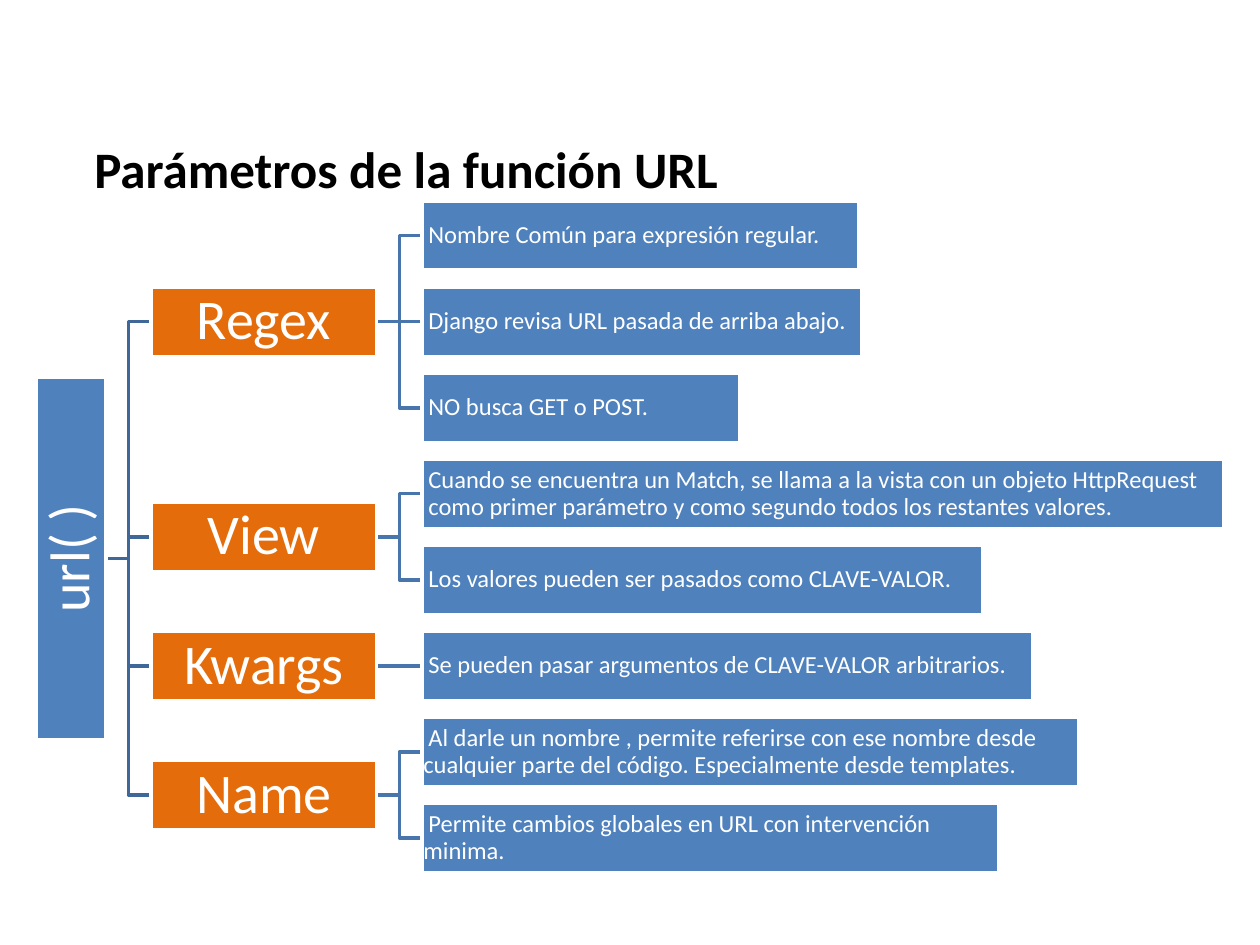
from lxml.etree import SubElement
from pptx import Presentation
from pptx.dml.color import RGBColor
from pptx.enum.shapes import MSO_CONNECTOR as Link, MSO_SHAPE as Shape
from pptx.enum.text import MSO_ANCHOR as Anchor, PP_ALIGN as Align
from pptx.oxml.ns import qn
from pptx.util import Emu, Inches, Pt

BLUE, ORANGE, WHITE, BLACK = "4F81BD", "E46C0A", "FFFFFF", "000000"
ROOT_LINE, BRANCH_LINE = "3F6797", "4875AC"

# Grid: row centres and column left edges, in inches
FIRST_ROW, ROW_STEP, BOX_HEIGHT = 1.87, 0.683, 0.55
ROOT_LEFT, BRANCH_LEFT, LEAF_LEFT = 0.29, 1.2, 3.35
ROOT_LENGTH, BRANCH_WIDTH = 2.88, 1.79
SPACE = 0.04  # width of the small indent before a leaf text

# Each branch with its leaves: text, box width, whether all lines are indented
TREE = [
    ("Regex", [
        ("Nombre Común para expresión regular.", 3.47, False),
        ("Django revisa URL pasada de arriba abajo.", 3.49, False),
        ("NO busca GET o POST.", 2.52, False),
    ]),
    ("View", [
        ("Cuando se encuentra un Match, se llama a la vista con un objeto "
         "HttpRequest como primer parámetro y como segundo todos los "
         "restantes valores.", 6.36, True),
        ("Los valores pueden ser pasados como CLAVE-VALOR.", 4.45, False),
    ]),
    ("Kwargs", [
        ("Se pueden pasar argumentos de CLAVE-VALOR arbitrarios.", 4.85, False),
    ]),
    ("Name", [
        ("Al darle un nombre , permite referirse con ese nombre desde "
         "cualquier parte del código. Especialmente desde templates.", 5.21, False),
        ("Permite cambios globales en URL con intervención minima.", 4.58, False),
    ]),
]


def color(hex_text):
    return RGBColor.from_string(hex_text)


def row_center(row):
    return FIRST_ROW + row * ROW_STEP


def write(box, text, size, fill=WHITE, bold=False, align=Align.LEFT,
          inset=None, spacing=None, margin=0, indent=0):
    frame = box.text_frame
    frame.word_wrap = True
    frame.vertical_anchor = Anchor.MIDDLE
    if inset is not None:
        frame.margin_left = frame.margin_right = Inches(inset)
        frame.margin_top = frame.margin_bottom = Inches(inset)
    para = frame.paragraphs[0]
    para.alignment = align
    para.line_spacing = spacing
    properties = para._p.get_or_add_pPr()
    properties.set("marL", str(Inches(margin)))
    properties.set("indent", str(Inches(indent)))
    span = para.add_run()
    span.text = text
    span.font.name = "Calibri"
    span.font.size = Pt(size)
    span.font.bold = bold
    span.font.color.rgb = color(fill)


def add_box(page, left, center, width, height, fill):
    box = page.shapes.add_shape(Shape.RECTANGLE, Inches(left),
                                Inches(center - height / 2),
                                Inches(width), Inches(height))
    box.shadow.inherit = False
    box.fill.solid()
    box.fill.fore_color.rgb = color(fill)
    box.line.color.rgb = color(WHITE)
    box.line.width = Pt(2)
    return box


def join(page, parent, child, line):
    """Link the right side of parent to the left side of child, behind both."""
    offset = parent.top + parent.height / 2 - child.top - child.height / 2
    kind = Link.STRAIGHT if abs(offset) < Inches(0.01) else Link.ELBOW
    link = page.shapes.add_connector(kind, Emu(0), Emu(0), Emu(0), Emu(0))
    link.begin_connect(parent, 3)
    link.end_connect(child, 1)
    link.line.color.rgb = color(line)
    link.line.width = Pt(2)
    SubElement(link._element.spPr, qn("a:effectLst"))
    page.shapes.element.insert(2, link._element)


def add_leaf(page, row, text, width, indent_all):
    box = add_box(page, LEAF_LEFT, row_center(row), width, BOX_HEIGHT, BLUE)
    place = {"margin": SPACE} if indent_all else {"indent": SPACE}
    write(box, text, 14, inset=0.01, spacing=0.9, **place)
    return box


def add_label(page, text, left, center, width, height, fill):
    box = add_box(page, left, center, width, height, fill)
    write(box, text, 32, align=Align.CENTER, inset=0.02, spacing=0.9)
    return box


def add_tree(page):
    row, centers, branches = 0, [], []
    for name, leaves in TREE:
        # A branch sits halfway between its first and last leaf
        center = row_center(row + (len(leaves) - 1) / 2)
        branch = add_label(page, name, BRANCH_LEFT, center,
                           BRANCH_WIDTH, BOX_HEIGHT, ORANGE)
        for leaf in leaves:
            join(page, branch, add_leaf(page, row, *leaf), BRANCH_LINE)
            row += 1
        centers.append(center)
        branches.append(branch)

    # The root is an upright box with text that reads upwards
    root = add_label(page, "url( )", ROOT_LEFT, (centers[0] + centers[-1]) / 2,
                     BOX_HEIGHT, ROOT_LENGTH, BLUE)
    root.text_frame._txBody.bodyPr.set("vert", "vert270")
    for branch in branches:
        join(page, root, branch, ROOT_LINE)


def main():
    deck = Presentation()
    deck.slide_width, deck.slide_height = Inches(10), Inches(7.5)
    page = deck.slides.add_slide(deck.slide_layouts[6])

    # Title
    title = page.shapes.add_textbox(Inches(0.65), Inches(1),
                                    Inches(6.84), Inches(0.67))
    write(title, "Parámetros de la función URL", 29.2, fill=BLACK, bold=True)

    # Diagram
    add_tree(page)
    deck.save("out.pptx")


if __name__ == "__main__":
    main()
